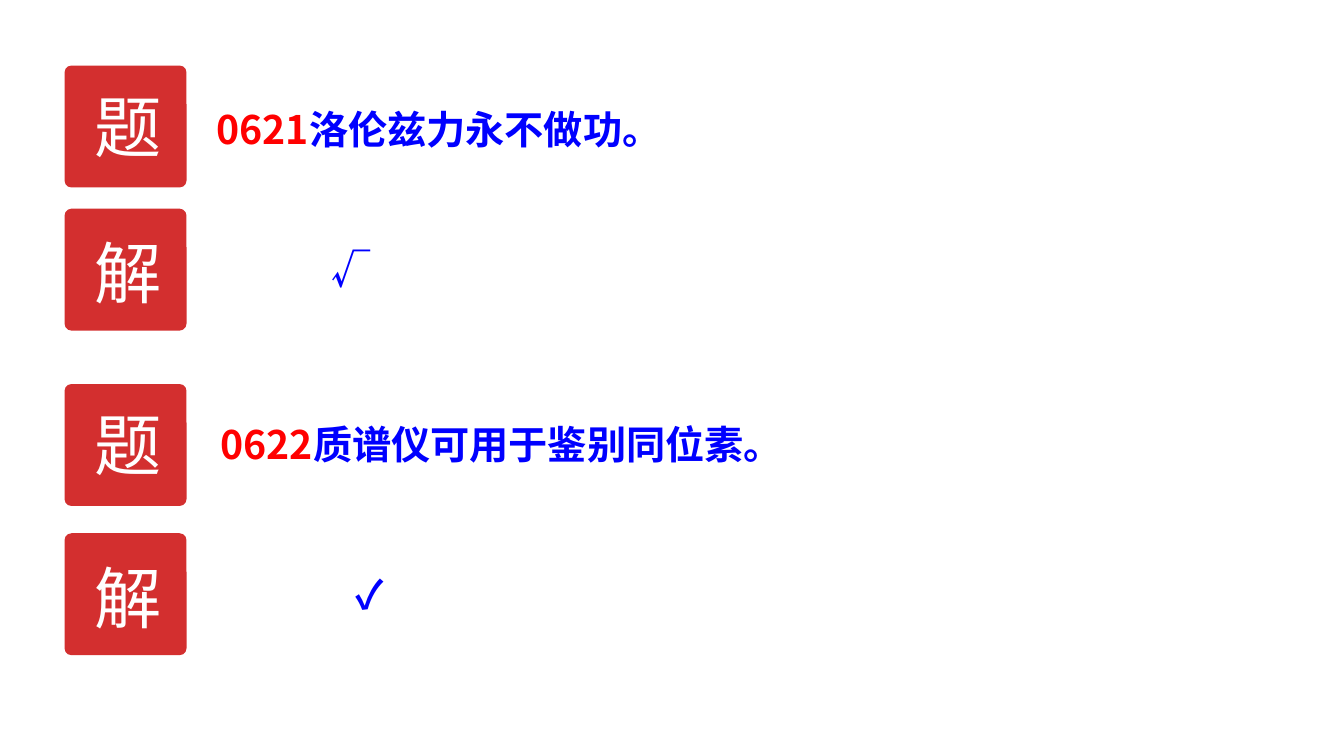
from dataclasses import dataclass
from typing import Optional

from lxml.etree import SubElement
from pptx import Presentation
from pptx.dml.color import RGBColor
from pptx.enum.shapes import MSO_SHAPE
from pptx.enum.text import MSO_ANCHOR as Anchor, MSO_AUTO_SIZE as AutoSize, PP_ALIGN as Align
from pptx.oxml.ns import qn
from pptx.slide import Slide
from pptx.util import Inches, Pt

FONT = "Noto Sans CJK SC"
RED, BLUE, WHITE, TILE_RED = "FF0000", "0000FF", "FFFFFF", "D32F2F"
TILE_LEFT, TILE_SIZE = 0.64, 1.21
LABEL_LEFT, LABEL_WIDTH, LABEL_HEIGHT = 0.84, 0.81, 0.91
LINE_HEIGHT = 0.57

BOLD_28 = {"name": FONT, "size": Pt(28), "bold": True}
PLAIN_48 = {"name": FONT, "size": Pt(48), "bold": False}


@dataclass
class Tile:
    label: str
    top: float
    label_top: float


@dataclass
class Line:
    left: float
    top: float
    width: float
    runs: list[tuple[str, str]]
    height: float = LINE_HEIGHT
    align: Optional[Align] = None
    anchor: Anchor = Anchor.TOP
    wrap: bool = True


TILES = [
    Tile("题", 0.65, 0.8),
    Tile("解", 2.07, 2.25),
    Tile("题", 3.81, 3.95),
    Tile("解", 5.29, 5.47),
]

LINES = [
    Line(2.05, 0.99, 7.11, [("0621", RED), ("洛伦兹力永不做功。", BLUE)],
         align=Align.JUSTIFY, anchor=Anchor.MIDDLE),
    Line(3.19, 2.38, 1.33, [("√", BLUE)], align=Align.JUSTIFY, anchor=Anchor.MIDDLE),
    Line(2.09, 4.12, 6.13, [("0622", RED), ("质谱仪可用于鉴别同位素。", BLUE)]),
    Line(3.43, 5.61, 0.59, [("✓", BLUE)], wrap=False),
]


def color(value: str) -> RGBColor:
    return RGBColor.from_string(value)


def add_line(slide: Slide, line: Line, font_format: dict) -> None:
    shape = slide.shapes.add_textbox(
        Inches(line.left), Inches(line.top), Inches(line.width), Inches(line.height))
    frame = shape.text_frame
    frame.word_wrap = line.wrap
    frame.auto_size = AutoSize.SHAPE_TO_FIT_TEXT
    frame.vertical_anchor = line.anchor
    paragraph = frame.paragraphs[0]
    paragraph.alignment = line.align
    for text, text_color in line.runs:
        run = paragraph.add_run()
        run.text = text
        for attribute, value in font_format.items():
            setattr(run.font, attribute, value)
        run.font.color.rgb = color(text_color)
        # East Asian characters take their own typeface
        SubElement(run.font._element, qn("a:ea"), typeface=FONT)


def add_tile(slide: Slide, tile: Tile) -> None:
    shape = slide.shapes.add_shape(
        MSO_SHAPE.ROUNDED_RECTANGLE, Inches(TILE_LEFT), Inches(tile.top),
        Inches(TILE_SIZE), Inches(TILE_SIZE))
    shape.adjustments[0] = 0.057
    shape.shadow.inherit = False
    shape.fill.solid()
    shape.fill.fore_color.rgb = color(TILE_RED)
    shape.line.fill.background()
    label = Line(LABEL_LEFT, tile.label_top, LABEL_WIDTH, [(tile.label, WHITE)],
                 height=LABEL_HEIGHT, align=Align.CENTER)
    add_line(slide, label, PLAIN_48)


def main() -> None:
    presentation = Presentation()
    presentation.slide_width = Inches(13.33)
    presentation.slide_height = Inches(7.5)
    slide = presentation.slides.add_slide(presentation.slide_layouts[6])

    # Red question and answer tiles
    for tile in TILES:
        add_tile(slide, tile)

    # Statements and check marks
    for line in LINES:
        add_line(slide, line, BOLD_28)

    presentation.save("out.pptx")


if __name__ == "__main__":
    main()
